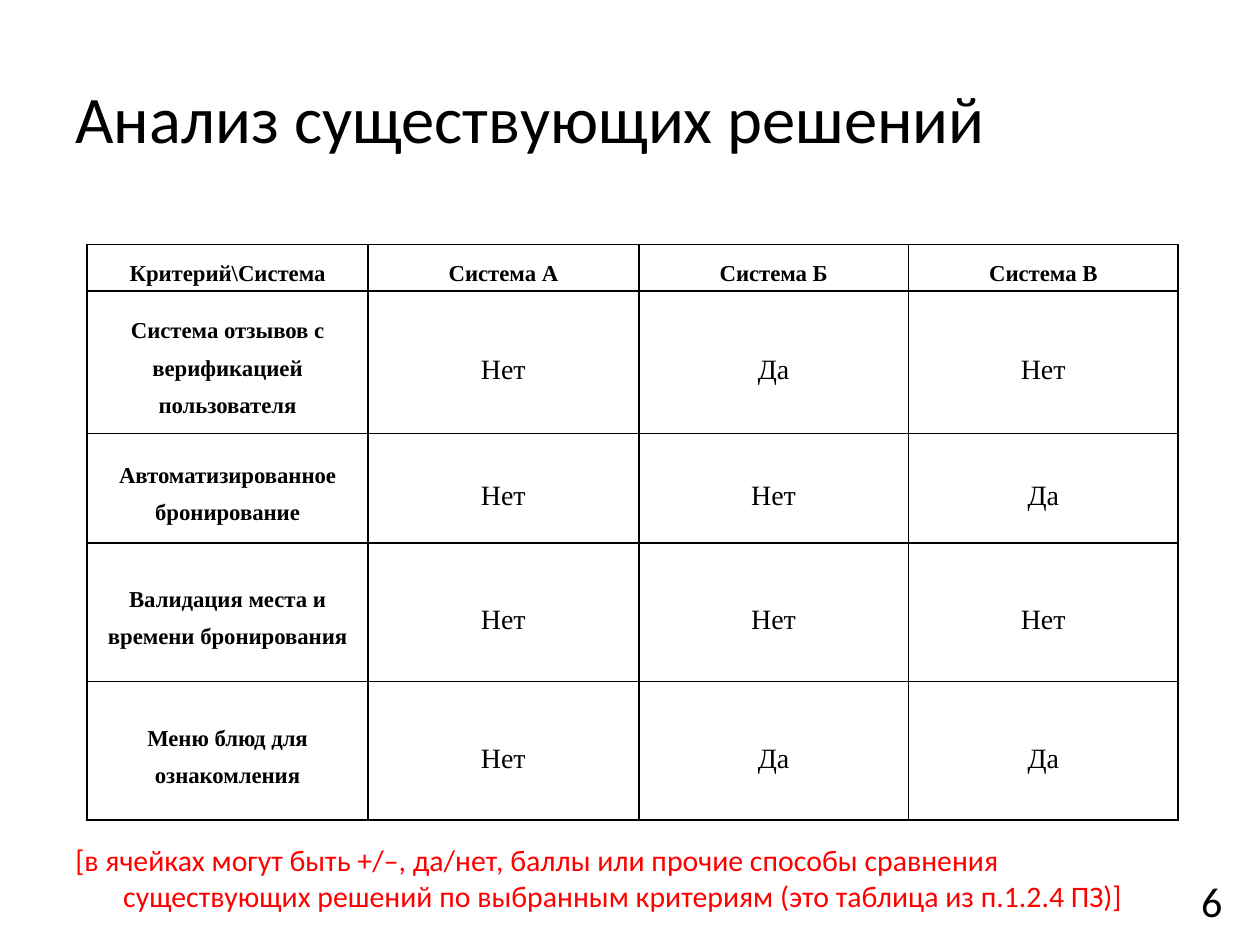
import dataclasses

import lxml.etree
import pptx
import pptx.dml.color
import pptx.enum.text
import pptx.oxml.ns
import pptx.util

Inches = pptx.util.Inches
Pt = pptx.util.Pt
Align = pptx.enum.text.PP_ALIGN
Anchor = pptx.enum.text.MSO_ANCHOR
qn = pptx.oxml.ns.qn


@dataclasses.dataclass(frozen=True)
class Theme:
    ink: str = "000000"
    note: str = "FF0000"
    sans: str = "Calibri"
    serif: str = "Times New Roman"
    title_size: int = 38
    number_size: int = 24
    note_size: int = 17
    heading_size: int = 13
    value_size: int = 16
    border_width: int = 1


class SlideBuilder:
    def __init__(self, page, theme):
        self.page = page
        self.theme = theme

    def style(self, para, size, name, color, bold=False):
        para.font.size = Pt(size)
        para.font.name = name
        para.font.bold = bold
        para.font.color.rgb = pptx.dml.color.RGBColor.from_string(color)

    def text(self, place, words, size, color=None, align=Align.LEFT,
             anchor=Anchor.MIDDLE, hanging=0):
        box = self.page.shapes.add_textbox(*map(Inches, place))
        frame = box.text_frame
        frame.word_wrap = True
        frame.vertical_anchor = anchor
        para = frame.paragraphs[0]
        para.text = words
        para.alignment = align
        self.style(para, size, self.theme.sans, color or self.theme.ink)
        if hanging:
            properties = para._p.get_or_add_pPr()
            properties.set("marL", str(Inches(hanging)))
            properties.set("indent", str(-Inches(hanging)))

    def borders(self, cell):
        properties = cell._tc.get_or_add_tcPr()
        for position, side in enumerate(("a:lnL", "a:lnR", "a:lnT", "a:lnB")):
            line = lxml.etree.Element(qn(side), w=str(Pt(self.theme.border_width)))
            fill = lxml.etree.SubElement(line, qn("a:solidFill"))
            lxml.etree.SubElement(fill, qn("a:srgbClr"), val=self.theme.ink)
            properties.insert(position, line)

    def cell(self, cell, words, heading):
        cell.fill.background()
        cell.vertical_anchor = Anchor.MIDDLE
        cell.margin_left = cell.margin_right = Inches(0.07)
        cell.margin_top = cell.margin_bottom = 0
        para = cell.text_frame.paragraphs[0]
        para.text = words
        para.alignment = Align.CENTER
        para.line_spacing = 1.5
        size = self.theme.heading_size if heading else self.theme.value_size
        self.style(para, size, self.theme.serif, self.theme.ink, bold=heading)
        self.borders(cell)

    def table(self, left, top, widths, heights, rows):
        """Draw a grid whose first row and first column are headings."""
        table = self.page.shapes.add_table(
            len(heights), len(widths), Inches(left), Inches(top),
            Inches(sum(widths)), Inches(sum(heights))).table
        table.first_row = table.horz_banding = False
        for column, width in zip(table.columns, widths):
            column.width = Inches(width)
        for row, height in zip(table.rows, heights):
            row.height = Inches(height)
        for row_index, row in enumerate(rows):
            for column_index, words in enumerate(row):
                heading = row_index == 0 or column_index == 0
                self.cell(table.cell(row_index, column_index), words, heading)


COMPARISON = [
    ("Критерий\\Система", "Система А", "Система Б", "Система В"),
    ("Система отзывов с верификацией пользователя", "Нет", "Да", "Нет"),
    ("Автоматизированное бронирование", "Нет", "Нет", "Да"),
    ("Валидация места и времени бронирования", "Нет", "Нет", "Нет"),
    ("Меню блюд для ознакомления", "Нет", "Да", "Да"),
]
NOTE = ("[в ячейках могут быть +/–, да/нет, баллы или прочие способы сравнения "
        "существующих решений по выбранным критериям (это таблица из п.1.2.4 ПЗ)]")


def main():
    deck = pptx.Presentation()
    deck.slide_width, deck.slide_height = Inches(10), Inches(7.5)
    theme = Theme()
    builder = SlideBuilder(deck.slides.add_slide(deck.slide_layouts[6]), theme)
    builder.text((0.5, 0.3, 9, 1.25), "Анализ существующих решений", theme.title_size)
    builder.text((9.16, 6.95, 0.64, 0.4), "6", theme.number_size, align=Align.RIGHT)
    builder.table(0.69, 1.94, [2.23, 2.15, 2.14, 2.14],
                  [0.37, 1.13, 0.87, 1.1, 1.1], COMPARISON)
    builder.text((0.5, 6.63, 9, 0.5), NOTE, theme.note_size, theme.note,
                 anchor=Anchor.TOP, hanging=0.38)
    deck.save("out.pptx")


if __name__ == "__main__":
    main()
